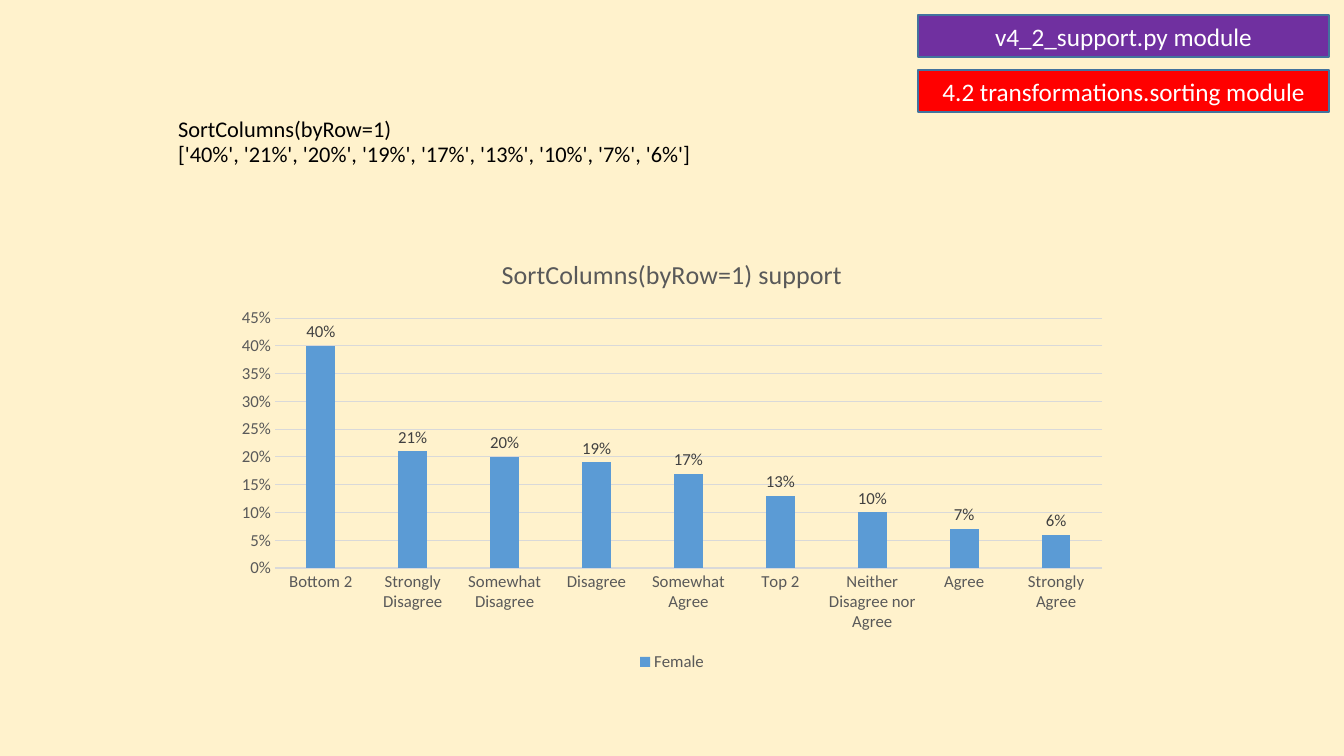
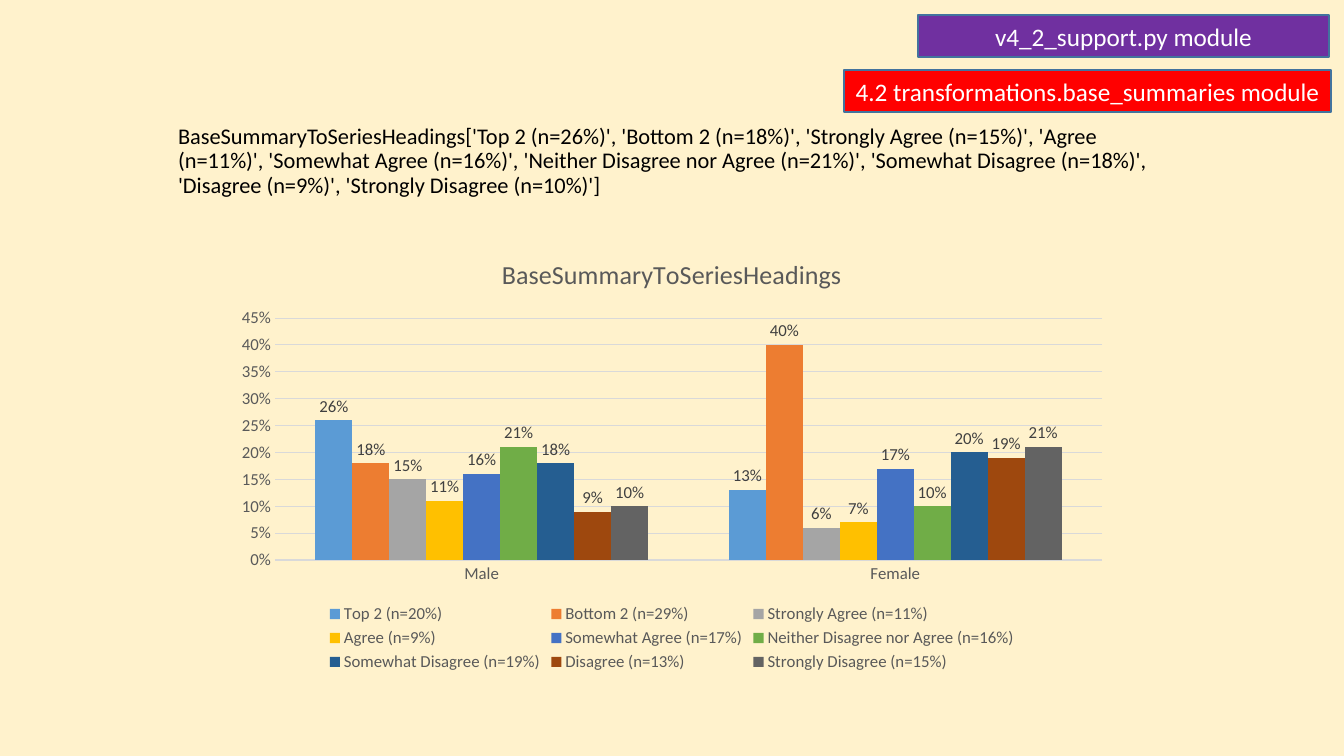
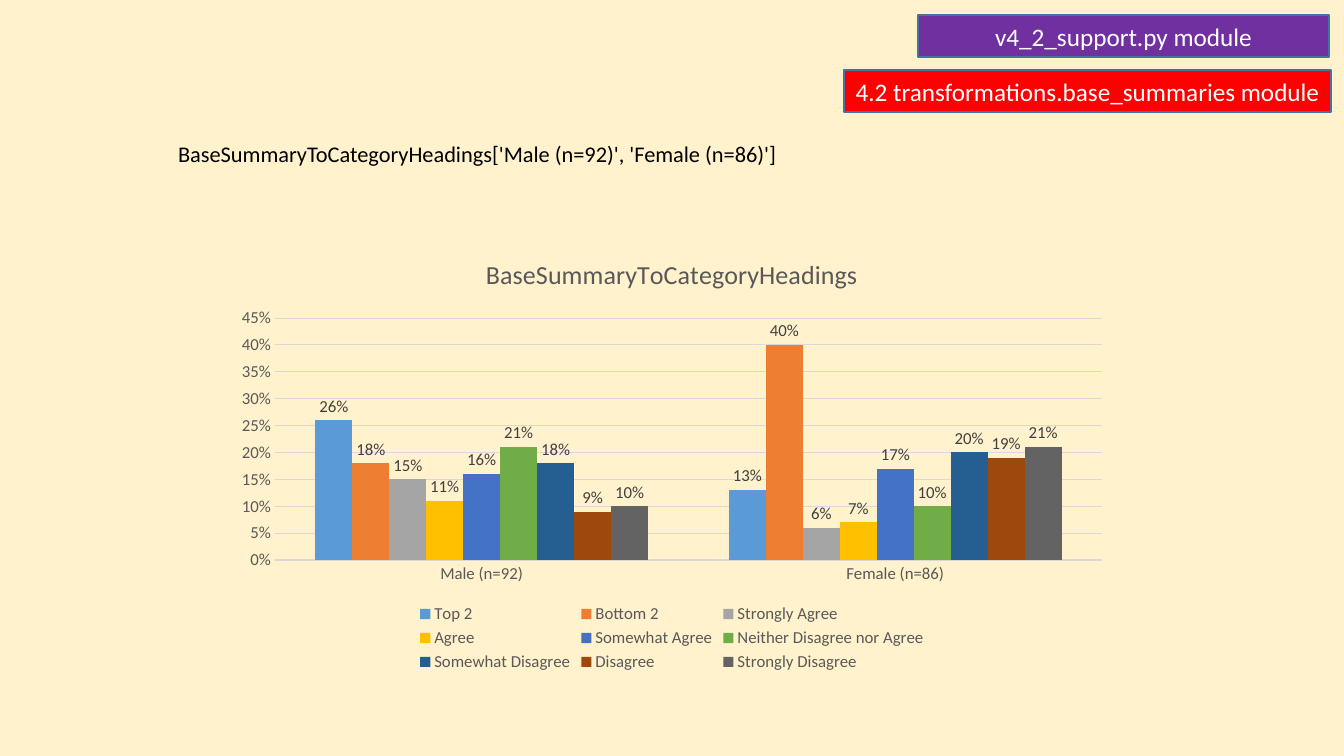
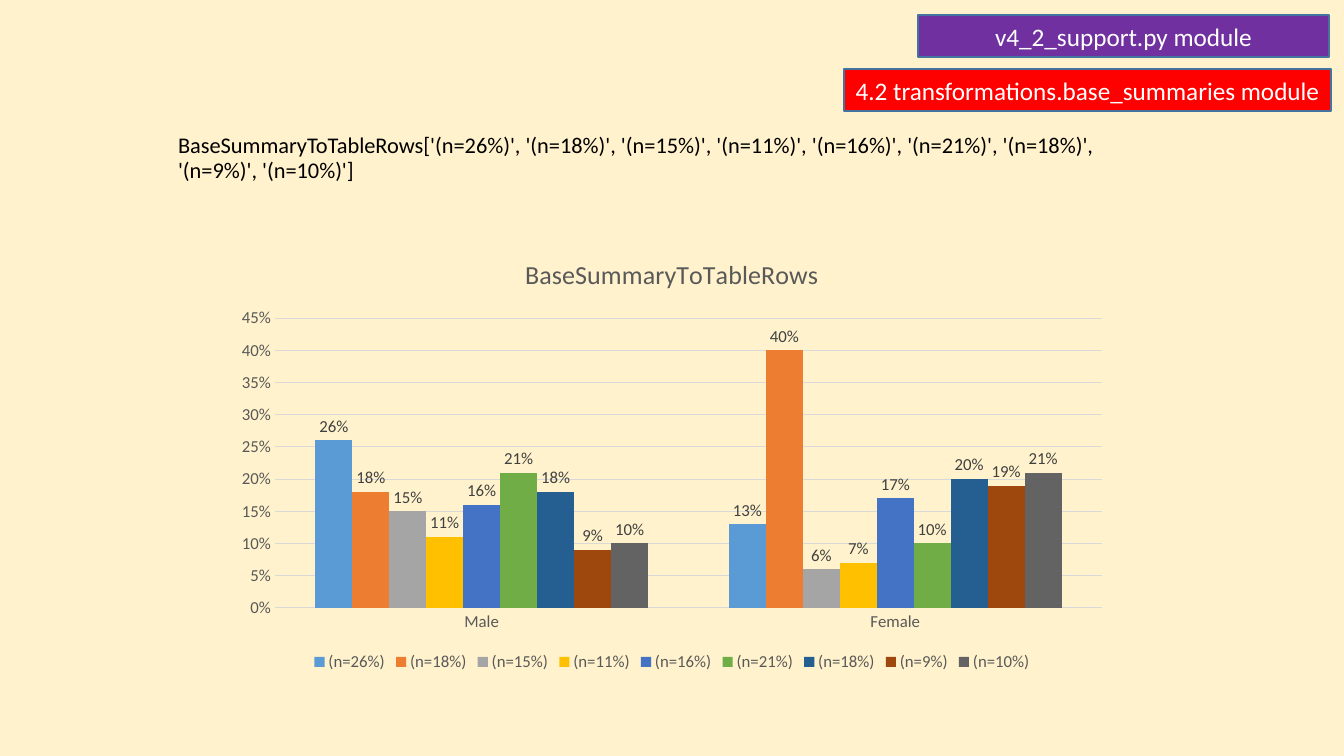
from pptx import Presentation
from pptx.chart.data import CategoryChartData
from pptx.dml.color import RGBColor
from pptx.enum.chart import XL_CHART_TYPE, XL_LABEL_POSITION, XL_LEGEND_POSITION, XL_TICK_MARK
from pptx.enum.shapes import MSO_SHAPE
from pptx.enum.text import MSO_ANCHOR, MSO_AUTO_SIZE, PP_ALIGN
from pptx.util import Emu, Pt

EMU_PER_PX = 12192000 / 1344
FONT = "Calibri"
CREAM, PURPLE, RED = "FFF2CC", "7030A0", "FF0000"
BLACK, WHITE, OUTLINE = "000000", "FFFFFF", "43739E"
GRID, GREY, DARK_GREY = "D9D9D9", "595959", "404040"
SERIES_COLOURS = ["5B9BD5", "ED7D31", "A5A5A5", "FFC000", "4472C4",
                  "70AD47", "255E91", "9E480E", "636363"]

SUPPORT_BOX = (918, 15, 411, 42)
SORTING_BOX = (918, 70, 411, 42)
SUMMARIES_BOX = (844, 70, 487, 42)
CHART_BOX = (224, 237, 896, 439)

SORTING = "4.2 transformations.sorting module"
SUMMARIES = "4.2 transformations.base_summaries module"

ANSWERS = ["Top 2", "Bottom 2", "Strongly Agree", "Agree", "Somewhat Agree",
           "Neither Disagree nor Agree", "Somewhat Disagree", "Disagree",
           "Strongly Disagree"]
MALE = [26, 18, 15, 11, 16, 21, 18, 9, 10]
FEMALE = [13, 40, 6, 7, 17, 10, 20, 19, 21]
BASES = [20, 29, 11, 9, 17, 16, 19, 13, 15]


def px(length):
    return Emu(round(length * EMU_PER_PX))


def place(box):
    return [px(length) for length in box]


def colour(hex_string):
    return RGBColor.from_string(hex_string)


def style_font(font, size, hex_string):
    font.name = FONT
    font.size = Pt(size)
    font.bold = False
    font.color.rgb = colour(hex_string)


def style_line(line, hex_string, width):
    line.color.rgb = colour(hex_string)
    line.width = Pt(width)


def add_badge(slide, box, text, fill):
    badge = slide.shapes.add_shape(MSO_SHAPE.RECTANGLE, *place(box))
    badge.shadow.inherit = False
    badge.fill.solid()
    badge.fill.fore_color.rgb = colour(fill)
    style_line(badge.line, OUTLINE, 1)
    text_frame = badge.text_frame
    text_frame.text = text
    text_frame.word_wrap = False
    text_frame.vertical_anchor = MSO_ANCHOR.MIDDLE
    paragraph = text_frame.paragraphs[0]
    paragraph.alignment = PP_ALIGN.CENTER
    style_font(paragraph.runs[0].font, 18, WHITE)
    return badge


def set_heading(slide, box, text):
    title = slide.shapes.title
    title.left, title.top, title.width, title.height = place(box)
    text_frame = title.text_frame
    text_frame.text = text
    text_frame.word_wrap = True
    text_frame.auto_size = MSO_AUTO_SIZE.NONE
    text_frame.vertical_anchor = MSO_ANCHOR.BOTTOM
    paragraph = text_frame.paragraphs[0]
    paragraph.alignment = PP_ALIGN.LEFT
    paragraph.line_spacing = 0.9
    for run in paragraph.runs:
        style_font(run.font, 16, BLACK)


def style_axes(chart):
    for axis in (chart.category_axis, chart.value_axis):
        axis.major_tick_mark = XL_TICK_MARK.NONE
        axis.minor_tick_mark = XL_TICK_MARK.NONE
        style_font(axis.tick_labels.font, 12, GREY)
    style_line(chart.category_axis.format.line, GRID, 0.75)
    value_axis = chart.value_axis
    value_axis.format.line.fill.background()
    style_line(value_axis.major_gridlines.format.line, GRID, 0.75)
    value_axis.tick_labels.number_format = "0%"
    value_axis.tick_labels.number_format_is_linked = False


def add_column_chart(slide, box, title, categories, series):
    """Draw columns from series, a list of (name, whole percentages)."""
    data = CategoryChartData(number_format="0%")
    data.categories = categories
    for name, percentages in series:
        data.add_series(name, [value / 100 for value in percentages])
    chart = slide.shapes.add_chart(
        XL_CHART_TYPE.COLUMN_CLUSTERED, *place(box), data).chart
    style_font(chart.font, 10, BLACK)

    chart.has_title = True
    chart.chart_title.include_in_layout = False
    text_frame = chart.chart_title.text_frame
    text_frame.text = title
    style_font(text_frame.paragraphs[0].runs[0].font, 18.6, GREY)

    style_axes(chart)
    chart.has_legend = True
    chart.legend.position = XL_LEGEND_POSITION.BOTTOM
    chart.legend.include_in_layout = False
    style_font(chart.legend.font, 12, GREY)

    plot = chart.plots[0]
    plot.gap_width = 219
    plot.overlap = 0
    plot.vary_by_categories = False
    for column, hex_string in zip(plot.series, SERIES_COLOURS):
        column.format.fill.solid()
        column.format.fill.fore_color.rgb = colour(hex_string)
        column.invert_if_negative = False
        labels = column.data_labels
        labels.show_value = True
        labels.position = XL_LABEL_POSITION.OUTSIDE_END
        labels.number_format = "0%"
        labels.number_format_is_linked = False
        style_font(labels.font, 12, DARK_GREY)


def add_chart_slide(presentation, module, module_box, heading, heading_box,
                    chart_title, categories, series):
    slide = presentation.slides.add_slide(presentation.slide_layouts[0])
    subtitle = slide.placeholders[1].element
    subtitle.getparent().remove(subtitle)
    set_heading(slide, heading_box, heading)
    add_column_chart(slide, CHART_BOX, chart_title, categories, series)
    add_badge(slide, module_box, module, RED)
    return slide


def share_support_badge(slide):
    """Put the purple badge on the layout, so that every slide shows it."""
    badge = add_badge(slide, SUPPORT_BOX, "v4_2_support.py module", PURPLE)
    slide.slide_layout.shapes.element.append(badge.element)


def with_bases(names, bases, unit=""):
    return [f"{name} (n={base}{unit})" for name, base in zip(names, bases)]


def main():
    presentation = Presentation()
    presentation.slide_width, presentation.slide_height = px(1344), px(756)
    background = presentation.slide_master.background.fill
    background.solid()
    background.fore_color.rgb = colour(CREAM)

    pairs = list(zip(MALE, FEMALE))
    genders = ["Male", "Female"]

    ranking = sorted(zip(FEMALE, ANSWERS), reverse=True)
    sorted_values = [value for value, _ in ranking]
    sorted_answers = [answer for _, answer in ranking]
    sorted_labels = [f"{value}%" for value in sorted_values]
    first_slide = add_chart_slide(
        presentation, SORTING, SORTING_BOX,
        f"SortColumns(byRow=1)\v{sorted_labels}", (168, 95, 1008, 77),
        "SortColumns(byRow=1) support", sorted_answers,
        [("Female", sorted_values)])
    share_support_badge(first_slide)

    name = "BaseSummaryToSeriesHeadings"
    add_chart_slide(
        presentation, SUMMARIES, SUMMARIES_BOX,
        f"{name}{with_bases(ANSWERS, MALE, '%')}", (168, 112, 1008, 91),
        name, genders, list(zip(with_bases(ANSWERS, BASES, "%"), pairs)))

    name = "BaseSummaryToCategoryHeadings"
    gender_bases = with_bases(genders, [92, 86])
    add_chart_slide(
        presentation, SUMMARIES, SUMMARIES_BOX,
        f"{name}{gender_bases}", (168, 95, 1008, 77),
        name, gender_bases, list(zip(ANSWERS, pairs)))

    name = "BaseSummaryToTableRows"
    row_labels = [f"(n={value}%)" for value in MALE]
    add_chart_slide(
        presentation, SUMMARIES, (844, 69, 487, 42),
        f"{name}{row_labels}", (168, 111, 1008, 77),
        name, genders, list(zip(row_labels, pairs)))

    presentation.save("out.pptx")


if __name__ == "__main__":
    main()
